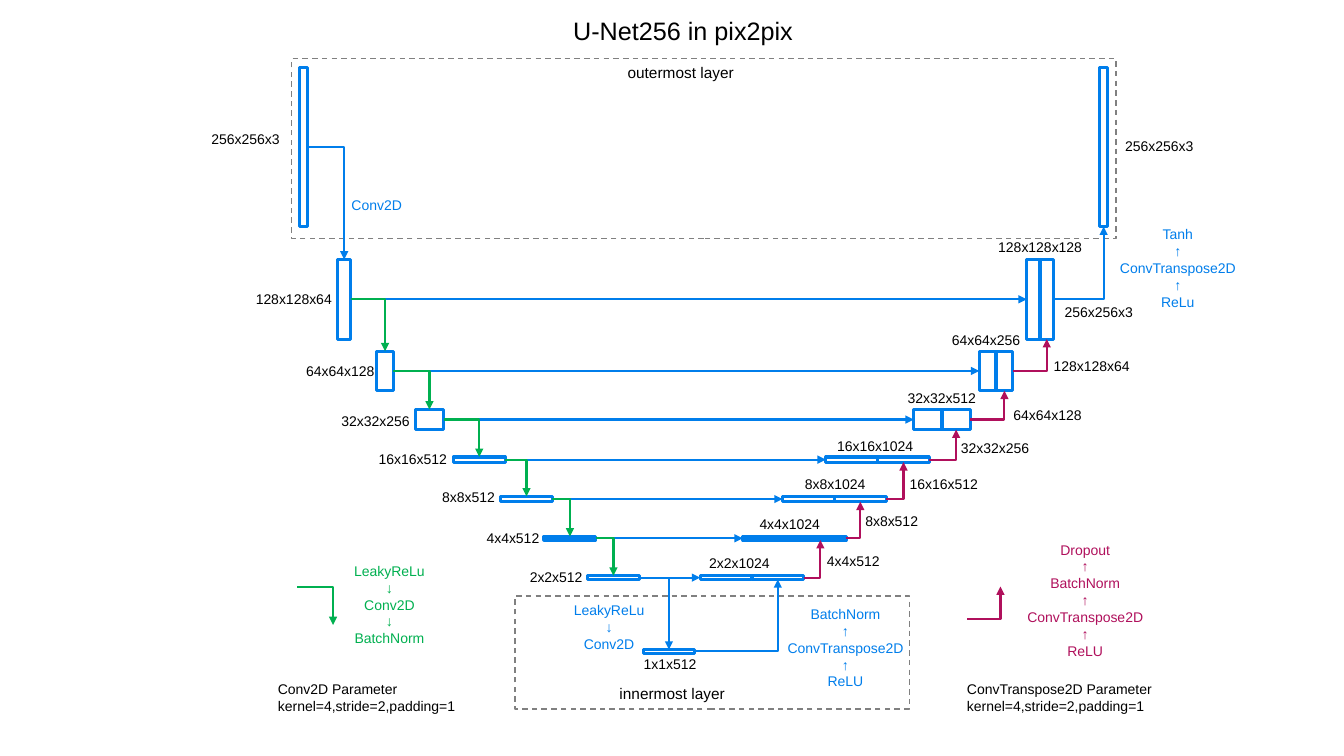
from itertools import pairwise
from typing import NamedTuple

from lxml.etree import SubElement
from pptx import Presentation
from pptx.dml.color import RGBColor
from pptx.enum.dml import MSO_LINE
from pptx.enum.shapes import MSO_CONNECTOR, MSO_SHAPE
from pptx.enum.text import MSO_AUTO_SIZE, PP_ALIGN
from pptx.oxml.ns import qn
from pptx.util import Pt

COLORS = {"blue": "007EEB", "green": "00B050", "purple": "B0105C",
          "gray": "808080", "black": "000000"}
FRAME_FORMAT = {"word_wrap": True, "auto_size": MSO_AUTO_SIZE.SHAPE_TO_FIT_TEXT}
DASHED = {"width": Pt(1), "dash_style": MSO_LINE.DASH}
SOLID = {"width": Pt(2.25)}
LINE_HEIGHT = 1.2
UP, DOWN = "↑", "↓"

Point = tuple[float, float]


class Box(NamedTuple):
    left: float
    middle: float
    width: float
    height: float

    @property
    def exit(self) -> Point:
        return self.left + self.width, self.middle

    @property
    def top(self) -> Point:
        return self.left + self.width / 2, self.middle - self.height / 2

    @property
    def bottom(self) -> Point:
        return self.left + self.width / 2, self.middle + self.height / 2


class Level(NamedTuple):
    side: int
    channels: int
    encoder: Box
    decoder_left: float
    encoder_label: Point
    concat_label: Point
    up_label: Point

    @property
    def decoders(self) -> list[Box]:
        width = self.encoder.width
        return [self.encoder._replace(left=self.decoder_left + step * width)
                for step in range(2)]


class Label(NamedTuple):
    lines: list[str]
    left: float
    top: float
    width: float
    color: str = "black"
    size: float = 10
    centered: bool = False


LEVELS = [
    Level(128, 64, Box(241.2, 213.8, 9.6, 56.9), 733.7, (175.7, 203.8), (706.3, 167), (753.8, 213.1)),
    Level(64, 128, Box(269.2, 265, 12, 28.2), 699.8, (211.7, 255.6), (673.2, 233.3), (745.9, 252)),
    Level(32, 256, Box(296.8, 299.7, 20.2, 14.4), 653, (236.9, 290.9), (641.5, 275), (717.1, 286.6)),
    Level(16, 512, Box(324, 328.3, 37, 3.8), 590.2, (263.5, 318.2), (591.1, 308.9), (679.7, 310.3)),
    Level(8, 512, Box(357.8, 356.5, 37, 3.8), 559.3, (308.9, 345.6), (568.1, 336.2), (643, 336.2)),
    Level(4, 512, Box(388.8, 384.5, 37, 2.6), 530.8, (340.6, 374.4), (535.7, 365), (611.3, 362.2)),
    Level(2, 512, Box(419.9, 412.6, 37, 2.6), 500.4, (371.5, 402.5), (499.7, 392.4), (583.9, 391)),
]
INPUT = Box(213.8, 105.1, 6, 113.5)
OUTPUT = INPUT._replace(left=785.7)
BOTTLENECK = Box(459.6, 465.3, 37, 2.6)
OUTER_LAYER = Box(208.4, 106.1, 589.3, 128.3)
INNER_LAYER = Box(368.1, 466.1, 281.7, 80.6)

PARAMETERS = "kernel=4,stride=2,padding=1"
LABELS = [
    Label(["U-Net256 in pix2pix"], 402.5, 7.2, 186.5, size=18),
    Label(["outermost layer"], 441.4, 41.8, 104.4, size=11),
    Label(["innermost layer"], 435.6, 485.3, 104.4, size=11),
    Label(["256x256x3"], 144, 90, 70),
    Label(["256x256x3"], 797, 95, 70),
    Label(["1x1x512"], 452.9, 464.4, 70),
    Label(["Conv2D"], 244.1, 136.8, 54, "blue"),
    Label(["Tanh", UP, "ConvTranspose2D", UP, "ReLu"], 792, 157.7, 99.5, "blue", centered=True),
    Label(["LeakyReLu", DOWN, "Conv2D"], 402.3, 426.2, 66, "blue", centered=True),
    Label(["BatchNorm", UP, "ConvTranspose2D", UP, "ReLU"], 553.7, 429.1, 101, "blue", centered=True),
    Label(["LeakyReLu", DOWN, "Conv2D", DOWN, "BatchNorm"], 244.8, 398.2, 67, "green", centered=True),
    Label(["Dropout", UP, "BatchNorm", UP, "ConvTranspose2D", UP, "ReLU"],
          725, 383, 101, "purple", centered=True),
    Label(["Conv2D Parameter", PARAMETERS], 191.5, 482.4, 143),
    Label(["ConvTranspose2D Parameter", PARAMETERS], 684, 482.4, 149),
]

presentation = Presentation()
presentation.slide_width, presentation.slide_height = Pt(960.48), Pt(540)
slide = presentation.slides.add_slide(presentation.slide_layouts[6])


def apply(target: object, values: dict) -> None:
    for name, value in values.items():
        setattr(target, name, value)


def rgb(color: str) -> RGBColor:
    return RGBColor.from_string(COLORS[color])


def draw_box(box: Box, color: str = "blue", line_format: dict = SOLID) -> None:
    shape = slide.shapes.add_shape(
        MSO_SHAPE.RECTANGLE, Pt(box.left), Pt(box.top[1]), Pt(box.width), Pt(box.height))
    shape.shadow.inherit = False
    shape.fill.background()
    shape.line.color.rgb = rgb(color)
    apply(shape.line, line_format)


def draw_arrow(start: Point, end: Point, color: str = "blue") -> None:
    """Draw a straight arrow, or one that runs sideways and then turns."""
    bent = start[1] != end[1]
    kind = MSO_CONNECTOR.ELBOW if bent else MSO_CONNECTOR.STRAIGHT
    connector = slide.shapes.add_connector(kind, *map(Pt, (*start, *end)))
    connector.line.color.rgb = rgb(color)
    connector.line.width = Pt(1.5)
    properties = connector.element.spPr
    if bent:
        properties.find(qn("a:prstGeom")).set("prst", "bentConnector2")
    SubElement(properties.find(qn("a:ln")), qn("a:tailEnd"), type="triangle")
    SubElement(properties, qn("a:effectLst"))


def draw_label(label: Label) -> None:
    height = len(label.lines) * label.size * LINE_HEIGHT + 7.2
    shape = slide.shapes.add_textbox(*map(Pt, (label.left, label.top, label.width, height)))
    apply(shape.text_frame, FRAME_FORMAT)
    shape.text_frame.text = "\n".join(label.lines)
    for paragraph in shape.text_frame.paragraphs:
        paragraph.alignment = PP_ALIGN.CENTER if label.centered else PP_ALIGN.LEFT
        for run in paragraph.runs:
            apply(run.font, {"name": "Arial", "size": Pt(label.size)})
            run.font.color.rgb = rgb(label.color)


def draw_size(side: int, channels: int, position: Point) -> None:
    text = f"{side}x{side}x{channels}"
    draw_label(Label([text], *position, 76 if len(text) > 10 else 70))


# Outermost and innermost layers
for layer in (OUTER_LAYER, INNER_LAYER):
    draw_box(layer, "gray", DASHED)
for box in (INPUT, OUTPUT, BOTTLENECK):
    draw_box(box)

# Encoder and decoder levels with skip connections
for level in LEVELS:
    for box in (level.encoder, *level.decoders):
        draw_box(box)
    draw_arrow(level.encoder.exit, level.decoders[0]._replace(width=0).exit)
    draw_size(level.side, level.channels, level.encoder_label)
    draw_size(level.side, 2 * level.channels, level.concat_label)

# Steps between levels
draw_size(256, 3, LEVELS[0].up_label)
for upper, lower in pairwise(LEVELS):
    draw_arrow(upper.encoder.exit, lower.encoder.top, "green")
    draw_arrow(lower.decoders[1].exit, upper.decoders[1].bottom, "purple")
    draw_size(upper.side, upper.channels, lower.up_label)

# Steps into and out of the outermost and innermost layers
first, last = LEVELS[0], LEVELS[-1]
draw_arrow(INPUT.exit, first.encoder.top)
draw_arrow(first.decoders[1].exit, OUTPUT.bottom)
draw_arrow(last.encoder.exit, BOTTLENECK.top)
draw_arrow(BOTTLENECK.exit, last.decoders[1].bottom)

# Legend arrows, title and captions
draw_arrow((212.4, 419), (238, 446.4), "green")
draw_arrow((691.2, 442.1), (715, 419), "purple")
for label in LABELS:
    draw_label(label)

presentation.save("out.pptx")
